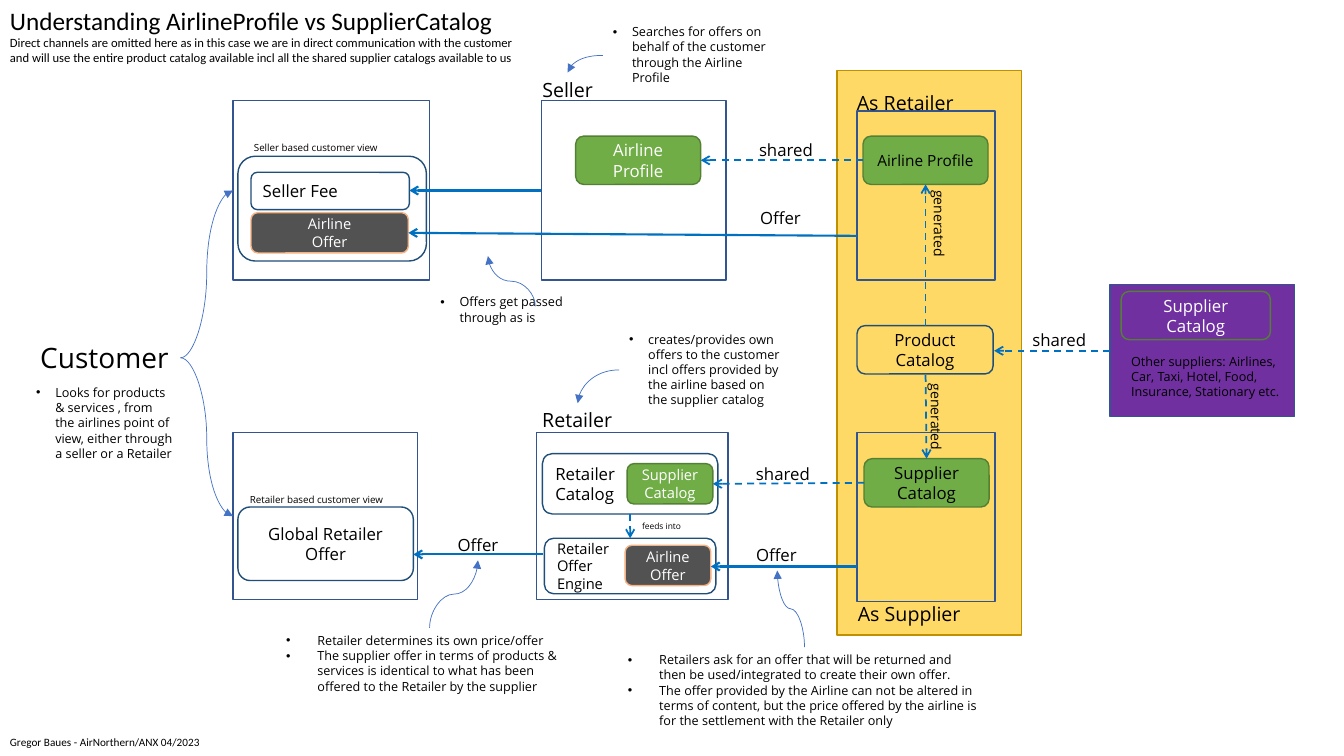
import pptx
import pptx.util
import pptx.dml.color
import pptx.enum.dml
import pptx.enum.shapes
import pptx.enum.text
import pptx.oxml
import pptx.oxml.ns

PX = 9144  # EMU per px, 100 px to the inch
COLOURS = {
    "black": "000000", "white": "FFFFFF", "yellow": "FFD966", "gold": "BF9000",
    "navy": "325491", "teal": "1F4E79", "green": "70AD47", "moss": "538035",
    "grey": "525252", "peach": "F4B183", "purple": "7030A0",
    "flow": "0070C0", "pointer": "4472C4",
}
SHAPES = pptx.enum.shapes.MSO_SHAPE
CONNECTORS = pptx.enum.shapes.MSO_CONNECTOR
LEFT = pptx.enum.text.PP_ALIGN.LEFT
CENTER = pptx.enum.text.PP_ALIGN.CENTER
GROW = pptx.enum.text.MSO_AUTO_SIZE.SHAPE_TO_FIT_TEXT
DASH = pptx.enum.dml.MSO_LINE.DASH


def emu(*lengths):
    return [pptx.util.Emu(round(length * PX)) for length in lengths]


def colour(name):
    return pptx.dml.color.RGBColor.from_string(COLOURS[name])


def apply(target, values):
    for name, value in values.items():
        setattr(target, name, value)


def add_xml(parent, tag, **attributes):
    child = pptx.oxml.parse_xml(f"<a:{tag} {pptx.oxml.ns.nsdecls('a')}/>")
    for name, value in attributes.items():
        child.set(name, value)
    parent.append(child)


def write(frame, paragraphs, size, ink="black", align=LEFT, font="Open Sans", indent=0):
    """Fill a text frame; an indent turns the paragraphs into bullets."""
    for index, words in enumerate(paragraphs):
        paragraph = frame.paragraphs[0] if index == 0 else frame.add_paragraph()
        apply(paragraph, {"text": words, "alignment": align})
        for run in paragraph.runs:
            apply(run.font, {"name": font, "size": pptx.util.Pt(size)})
            run.font.color.rgb = colour(ink)
        if indent:
            properties = paragraph._p.get_or_add_pPr()
            properties.set("marL", str(indent * PX))
            properties.set("indent", str(-indent * PX))
            add_xml(properties, "buFont", typeface="Arial")
            add_xml(properties, "buChar", char="•")


def box(slide, place, line, fill=None, kind=SHAPES.RECTANGLE):
    shape = slide.shapes.add_shape(kind, *emu(*place))
    shape.shadow.inherit = False
    if fill:
        shape.fill.solid()
        shape.fill.fore_color.rgb = colour(fill)
    else:
        shape.fill.background()
    shape.line.color.rgb = colour(line)
    shape.line.width = pptx.util.Pt(1)
    return shape


def card(slide, place, paragraphs=(), size=12, line="teal", fill=None, ink="black", align=CENTER):
    shape = box(slide, place, line, fill, SHAPES.ROUNDED_RECTANGLE)
    write(shape.text_frame, paragraphs, size, ink, align)


def label(slide, place, paragraphs, size, wrap=False, turn=0, **style):
    text_box = slide.shapes.add_textbox(*emu(*place))
    text_box.rotation = turn
    apply(text_box.text_frame, {"word_wrap": wrap, "auto_size": GROW})
    write(text_box.text_frame, paragraphs, size, **style)
    return text_box


def note(slide, place, paragraphs, indent=19):
    label(slide, place, paragraphs, 9, wrap=True, indent=indent)


def connect(slide, kind, ends, ink, width, head, dash=None):
    link = slide.shapes.add_connector(kind, *emu(*ends))
    link.line.color.rgb = colour(ink)
    apply(link.line, {"width": pptx.util.Pt(width), "dash_style": dash})
    add_xml(link.line._get_or_add_ln(), "tailEnd", type=head)
    add_xml(link._element.spPr, "effectLst")
    return link


def flow(slide, ends, dashed=False):
    connect(slide, CONNECTORS.STRAIGHT, ends, "flow", 1.25 if dashed else 1.5,
            "arrow", DASH if dashed else None)


def pointer(slide, ends, upright=False, bend=False):
    """Curved arrow: upright leaves vertically, bend makes a quarter turn."""
    x1, y1, x2, y2 = ends
    if upright:  # lay the ends flat around their centre, then turn by 90 degrees
        mid_x, mid_y = (x1 + x2) / 2, (y1 + y2) / 2
        half_x, half_y = (y2 - y1) / 2, (x1 - x2) / 2
        ends = (mid_x - half_x, mid_y - half_y, mid_x + half_x, mid_y + half_y)
    link = connect(slide, CONNECTORS.CURVE, ends, "pointer", 0.5, "triangle")
    properties = link._element.spPr
    if upright:
        properties.find(pptx.oxml.ns.qn("a:xfrm")).set("rot", str(90 * 60000))
    if bend:
        properties.find(pptx.oxml.ns.qn("a:prstGeom")).set("prst", "curvedConnector2")


def main():
    deck = pptx.Presentation()
    apply(deck, dict(zip(("slide_width", "slide_height"), emu(1333, 750))))
    slide = deck.slides.add_slide(deck.slide_layouts[6])

    # Areas of the airline, sellers, customers and suppliers
    box(slide, (830, 70, 183, 560), "gold", "yellow")
    for place in ((537, 100, 183, 178), (231, 100, 195, 178), (231, 429, 183, 166),
                  (850, 110, 137, 168), (850, 429, 137, 168), (532, 429, 190, 166)):
        box(slide, place, "navy")
    box(slide, (1101, 282, 183, 131), "navy", "purple")

    # Shared profiles and catalogs
    for place, words, size, ink in (
            ((571, 135, 124, 48), "Airline Profile", 12, "white"),
            ((856, 135, 124, 48), "Airline Profile", 11, "black"),
            ((857, 455, 124, 48), "Supplier Catalog", 12, "black"),
            ((622, 460, 85, 40), "Supplier Catalog", 10.5, "white")):
        card(slide, place, [words], size, "moss", "green", ink)
    card(slide, (1112, 289, 148, 48), ["Supplier Catalog"], line="moss", ink="white")
    card(slide, (850, 323, 135, 48), ["Product Catalog"])

    # Customer and retailer contents
    card(slide, (236, 155, 187, 104))
    card(slide, (249, 171, 157, 37), ["Seller Fee"], align=LEFT)
    card(slide, (236, 503, 174, 73), ["Global Retailer Offer"])
    card(slide, (538, 450, 174, 60), ["Retailer\vCatalog"], align=LEFT)
    card(slide, (540, 534, 170, 55), ["Retailer", "Offer", "Engine"], 10.5, align=LEFT)
    for place in ((249, 211, 156, 40), (620, 541, 85, 40)):
        card(slide, place, ["Airline", "Offer"], 10.5, "peach", "grey", "white")

    # Flows of offers, and dashed flows of shared data
    for ends in ((850, 562, 705, 562), (539, 550, 410, 550),
                 (850, 234, 405, 231), (537, 189, 406, 189)):
        flow(slide, ends)
    for ends in ((1101, 348, 986, 348), (918, 323, 918, 183), (918, 372, 919, 455),
                 (857, 479, 707, 480), (856, 159, 695, 159), (625, 510, 625, 534)):
        flow(slide, ends, dashed=True)

    # Names of areas and flows
    for place, words, size in (
            ((840, 85, 117, 34), "As Retailer", 14),
            ((841, 592, 123, 34), "As Supplier", 14),
            ((528, 72, 71, 34), "Seller", 14),
            ((528, 400, 90, 34), "Retailer", 14),
            ((30, 333, 149, 44), "Customer", 20),
            ((242, 136, 145, 22), "Seller based customer view", 7),
            ((238, 485, 154, 22), "Retailer based customer view", 7)):
        label(slide, place, [words], size)
    for x, y in ((1014, 322), (740, 455), (743, 134)):
        label(slide, (x, y, 74, 30), ["shared"], 12)
    for x, y in ((744, 201), (740, 536), (444, 526)):
        label(slide, (x, y, 61, 30), ["Offer"], 12)
    for x, y in ((886, 211), (883, 403)):
        label(slide, (x, y, 91, 27), ["generated"], 10, turn=90)
    label(slide, (627, 512, 66, 20), ["feeds into"], 6, wrap=True)
    label(slide, (1112, 346, 179, 56),
          ["Other suppliers: Airlines, Car, Taxi, Hotel, Food, Insurance, Stationary etc."],
          9, wrap=True)

    # Notes with their pointers
    note(slide, (26, 377, 157, 86),
         ["Looks for products & services , from the airlines point of view, "
          "either through a seller or a Retailer"])
    note(slide, (614, 324, 175, 86),
         ["creates/provides own offers to the customer incl offers provided by "
          "the airline based on the supplier catalog"])
    note(slide, (427, 287, 175, 40), ["Offers get passed through as is"])
    note(slide, (598, 19, 175, 71),
         ["Searches for offers on behalf of the customer through the Airline Profile"])
    note(slide, (613, 642, 369, 86),
         ["Retailers ask for an offer that will be returned and then be "
          "used/integrated to create their own offer.",
          "The offer provided by the Airline can not be altered in terms of content, but "
          "the price offered by the airline is for the settlement with the Retailer only"],
         indent=31)
    note(slide, (274, 623, 303, 71),
         ["Retailer determines its own price/offer",
          "The supplier offer in terms of products & services is identical to what "
          "has been offered to the Retailer by the supplier"],
         indent=31)
    for ends in ((426, 623, 474, 556), (798, 642, 771, 566), (531, 304, 484, 254)):
        pointer(slide, ends, upright=True)
    for ends in ((179, 355, 231, 189), (179, 355, 231, 512)):
        pointer(slide, ends)
    for ends in ((614, 367, 573, 400), (598, 55, 563, 72)):
        pointer(slide, ends, bend=True)

    # Title and author
    title = label(slide, (0, 0, 535, 71), [
        "Understanding AirlineProfile vs SupplierCatalog",
        "Direct channels are omitted here as in this case we are in direct "
        "communication with the customer",
        "and will use the entire product catalog available incl all the shared "
        "supplier catalogs available to us"], 9, wrap=True, font="Calibri")
    title.text_frame.paragraphs[0].runs[0].font.size = pptx.util.Pt(18)
    label(slide, (0, 725, 535, 24), ["Gregor Baues - AirNorthern/ANX 04/2023"], 8,
          wrap=True, font="Calibri")

    deck.save("out.pptx")


if __name__ == "__main__":
    main()
